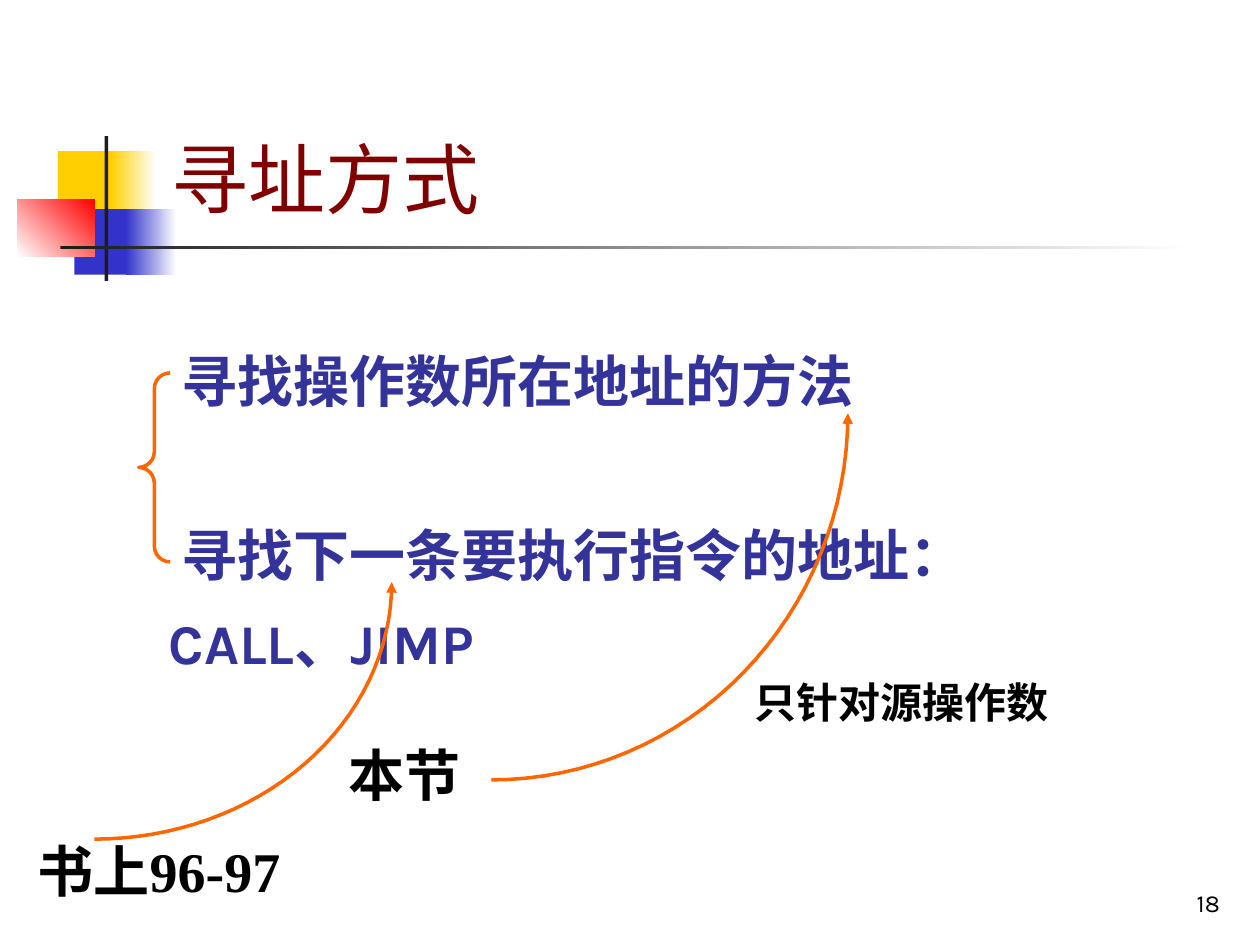
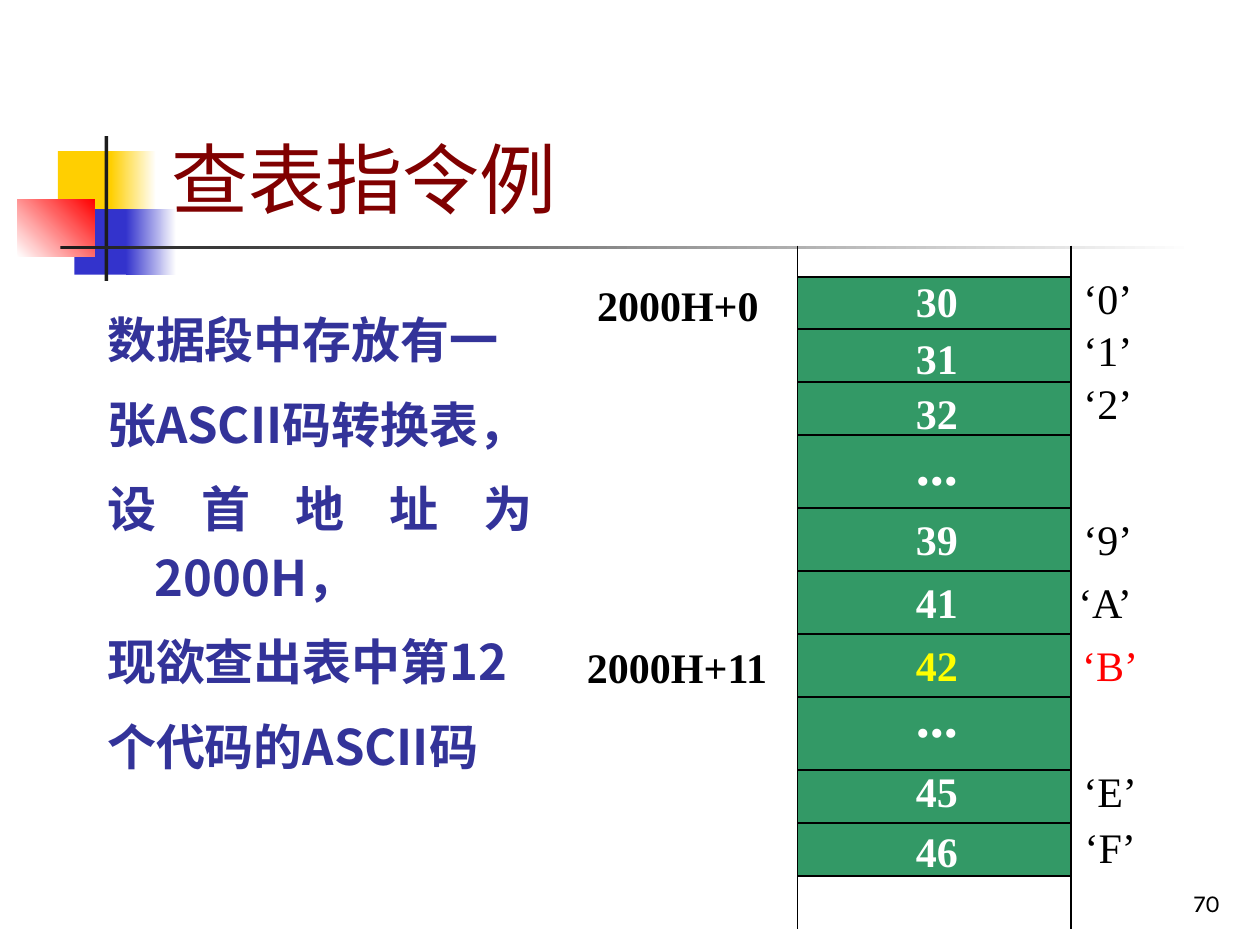
from dataclasses import dataclass
from math import cos, pi, sin

from lxml import etree
from pptx import Presentation
from pptx.dml.color import RGBColor
from pptx.enum.shapes import MSO_CONNECTOR, MSO_SHAPE
from pptx.enum.text import MSO_ANCHOR, MSO_AUTO_SIZE, PP_ALIGN
from pptx.oxml.ns import qn
from pptx.util import Pt

PX = 9144  # 100 px to the inch
RECT, BRACE = MSO_SHAPE.RECTANGLE, MSO_SHAPE.LEFT_BRACE
STRAIGHT = MSO_CONNECTOR.STRAIGHT
TOP, BOTTOM = MSO_ANCHOR.TOP, MSO_ANCHOR.BOTTOM
LEFT, RIGHT, JUSTIFY = PP_ALIGN.LEFT, PP_ALIGN.RIGHT, PP_ALIGN.JUSTIFY
NO_FIT = MSO_AUTO_SIZE.NONE


@dataclass(frozen=True)
class Theme:
    title: str = "800000"
    body: str = "333399"
    text: str = "000000"
    white: str = "FFFFFF"
    orange: str = "FF6600"
    green: str = "339966"
    gold: str = "FFCF01"
    blue: str = "3333CC"
    red: str = "FF0000"
    yellow: str = "FFFF00"
    dark: str = "1C1C1C"
    sans: str = "Karla"
    cjk: str = "Noto Sans CJK SC"
    serif: str = "Times New Roman"
    title_size: int = 44
    large: int = 32
    medium: int = 28
    small: int = 24
    number: int = 14


T = Theme()

# left, top, width, height, colours (one or two), gradient angle
BAND = [
    (46, 120, 48, 52, [T.gold], 0),
    (88, 120, 36, 52, [T.gold, T.white], 0),
    (59, 166, 46, 52, [T.blue], 0),
    (100, 166, 40, 52, [T.blue, T.white], 0),
    (14, 158, 61, 46, [T.white, T.red], 45),
    (83, 108, 3, 115, [T.dark], 0),
    (48, 195, 900, 3, [T.dark, T.white], 0),
]

# value, its top, character, its left and top
MEMORY = [
    ("30", 214, "‘0’", 850, 211),
    ("31", 259, "‘1’", 850, 253),
    ("32", 303, "‘2’", 850, 295),
    ("...", 336, None, 0, 0),
    ("39", 403, "‘9’", 850, 403),
    ("41", 453, "‘A’", 846, 453),
    ("42", 503, "‘B’", 849, 503),
    ("...", 536, None, 0, 0),
    ("45", 603, "‘E’", 850, 603),
    ("46", 650, "‘F’", 851, 647),
]
MEMORY_LEFT, MEMORY_RIGHT = 633, 850


def rgb(color):
    return RGBColor.from_string(color)


def emu(*lengths):
    return [length * PX for length in lengths]


def place(sp, box):
    for name, value in zip(("left", "top", "width", "height"), emu(*box)):
        setattr(sp, name, value)


def format_paragraph(p, **values):
    for name, value in values.items():
        setattr(p, name, value)


def add_run(p, text, font, size, color, bold=False):
    r = p.add_run()
    r.text = text
    values = {"name": font, "size": Pt(size), "bold": bold}
    for name, value in values.items():
        setattr(r.font, name, value)
    r.font.color.rgb = rgb(color)
    ea = etree.SubElement(r._r.get_or_add_rPr(), qn("a:ea"))
    ea.set("typeface", T.cjk)


def add_text(slide, box, text, size=T.small, color=T.text, bold=True,
             font=T.serif, align=LEFT, anchor=TOP):
    tf = slide.shapes.add_textbox(*emu(*box)).text_frame
    tf.word_wrap = True
    tf.vertical_anchor = anchor
    p = tf.paragraphs[0]
    p.alignment = align
    add_run(p, text, font, size, color, bold)


def style_line(sp, color, width):
    sp.line.color.rgb = rgb(color)
    sp.line.width = Pt(width)


def add_rect(slide, box, colors, angle=0, line=None):
    """Rectangle with a plain fill for one colour, a gradient for two."""
    sp = slide.shapes.add_shape(RECT, *emu(*box))
    sp.shadow.inherit = False
    if len(colors) == 1:
        sp.fill.solid()
        sp.fill.fore_color.rgb = rgb(colors[0])
    else:
        sp.fill.gradient()
        sp.fill.gradient_angle = angle
        for i, (stop, color) in enumerate(zip(sp.fill.gradient_stops, colors)):
            stop.position = i
            stop.color.rgb = rgb(color)
    if line:
        style_line(sp, line, 1)
    else:
        sp.line.fill.background()


def add_line(slide, x1, y1, x2, y2):
    sp = slide.shapes.add_connector(STRAIGHT, *emu(x1, y1, x2, y2))
    style_line(sp, T.text, 1)
    etree.SubElement(sp._element.spPr, qn("a:effectLst"))


def add_brace(slide, box):
    sp = slide.shapes.add_shape(BRACE, *emu(*box))
    sp.shadow.inherit = False
    sp.adjustments[0] = 0.5
    sp.fill.background()
    style_line(sp, T.orange, 2)


def add_curved_arrow(slide, left, top, width, height, steps=32):
    """Quarter ellipse from bottom left up to an arrowhead at top right."""
    points = []
    for i in range(steps + 1):
        angle = i * pi / 2 / steps
        points.append((round((left + width * sin(angle)) * PX),
                       round((top + height * cos(angle)) * PX)))
    builder = slide.shapes.build_freeform(*points[0])
    builder.add_line_segments(points[1:], close=False)
    sp = builder.convert_to_shape()
    sp.shadow.inherit = False
    sp.fill.background()
    style_line(sp, T.orange, 2)
    ln = sp._element.spPr.find(qn("a:ln"))
    etree.SubElement(ln, qn("a:tailEnd")).set("type", "triangle")


def fill_title(slide, text):
    title = slide.shapes.title
    place(title, (126, 23, 852, 160))
    tf = title.text_frame
    tf.auto_size = NO_FIT
    tf.vertical_anchor = BOTTOM
    tf.paragraphs[0].alignment = LEFT
    add_run(tf.paragraphs[0], text, T.cjk, T.title_size, T.title)


def fill_body(slide, box, lines, font, size, pitch, before, after, align=LEFT):
    """Unbulleted hanging list; before holds the space above each line."""
    body = slide.placeholders[1]
    place(body, box)
    tf = body.text_frame
    tf.auto_size = NO_FIT
    for i, (line, space) in enumerate(zip(lines, before)):
        p = tf.add_paragraph() if i else tf.paragraphs[0]
        pPr = p._p.get_or_add_pPr()
        pPr.set("marL", str(38 * PX))
        pPr.set("indent", str(-38 * PX))
        etree.SubElement(pPr, qn("a:buNone"))
        format_paragraph(p, alignment=align, line_spacing=Pt(pitch),
                         space_before=Pt(space), space_after=Pt(after))
        add_run(p, line, font, size, T.body, True)


def add_slide(prs, title, number):
    slide = prs.slides.add_slide(prs.slide_layouts[1])
    for *box, colors, angle in BAND:
        add_rect(slide, box, colors, angle)
    fill_title(slide, title)
    add_text(slide, (770, 683, 208, 50), number, T.number, bold=False,
             font=T.sans, align=RIGHT, anchor=BOTTOM)
    return slide


def add_addressing_slide(prs):
    slide = add_slide(prs, "寻址方式", "18")
    lines = [" 寻找操作数所在地址的方法", " 寻找下一条要执行指令的地址：", "CALL、JIMP"]
    fill_body(slide, (124, 265, 777, 242), lines, T.sans, T.large,
              pitch=42, before=[0, 56, 6.4], after=1.6)
    add_brace(slide, (110, 296, 25, 150))
    add_text(slide, (267, 583, 158, 63), "本节", T.large)
    add_curved_arrow(slide, 390, 328, 283, 291)
    add_text(slide, (20, 659, 244, 64), "书上96-97", T.large)
    add_curved_arrow(slide, 75, 462, 236, 204)
    add_text(slide, (589, 532, 273, 51), "只针对源操作数")


def add_memory(slide):
    for top, height in ((220, 183), (403, 292)):
        box = (MEMORY_LEFT, top, MEMORY_RIGHT - MEMORY_LEFT, height)
        add_rect(slide, box, [T.green], line=T.text)
    for y in (261, 303, 345, 453, 503, 553, 611, 653):
        add_line(slide, MEMORY_LEFT, y, MEMORY_RIGHT, y)
    for x in (MEMORY_LEFT, MEMORY_RIGHT):
        add_line(slide, x, 195, x, 220)
        add_line(slide, x, 695, x, 737)
    for value, top, char, char_left, char_top in MEMORY:
        found = value == "42"
        size = T.large if value == "..." else T.small
        add_text(slide, (717, top, 120, 50), value, size,
                 T.yellow if found else T.white)
        if char:
            add_text(slide, (char_left, char_top, 107, 50), char,
                     color=T.red if found else T.text, bold=False)


def add_lookup_slide(prs):
    slide = add_slide(prs, "查表指令例", "70")
    lines = ["数据段中存放有一", "张ASCII码转换表，", "设首地址为2000H，",
             "现欲查出表中第12", "个代码的ASCII码"]
    fill_body(slide, (75, 233, 358, 394), lines, T.cjk, T.medium, pitch=39,
              before=[0] + [5.4] * 4, after=4, align=JUSTIFY)
    add_memory(slide)
    add_text(slide, (464, 217, 162, 50), "2000H+0")
    add_text(slide, (456, 504, 178, 50), "2000H+11")


def main():
    prs = Presentation()
    prs.slide_width, prs.slide_height = emu(1000, 750)
    add_addressing_slide(prs)
    add_lookup_slide(prs)
    prs.save("out.pptx")


if __name__ == "__main__":
    main()
